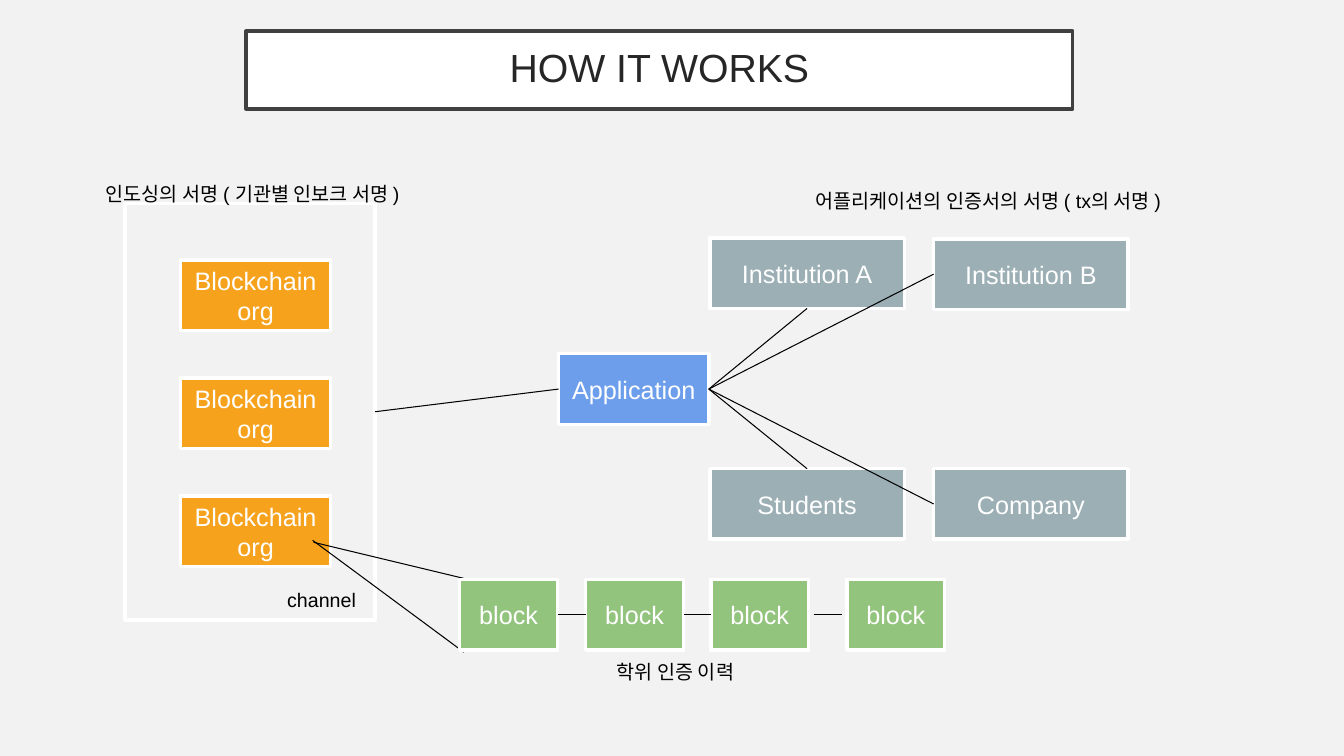
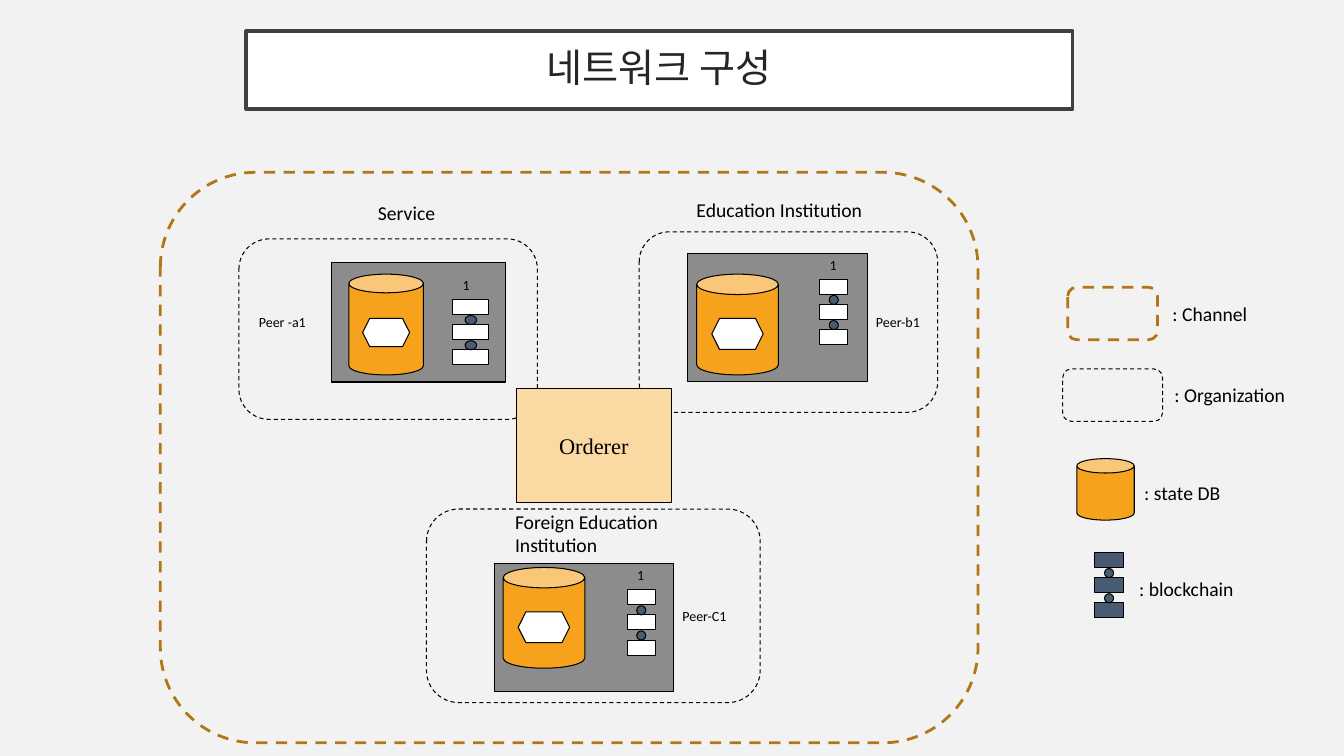
from pptx import Presentation
from pptx.dml.color import RGBColor
from pptx.enum.dml import MSO_LINE
from pptx.enum.shapes import MSO_CONNECTOR, MSO_SHAPE
from pptx.enum.text import MSO_ANCHOR, PP_ALIGN
from pptx.oxml.xmlchemy import OxmlElement
from pptx.util import Inches, Pt

RECT, ROUND = MSO_SHAPE.RECTANGLE, MSO_SHAPE.ROUNDED_RECTANGLE
CAN, HEX, OVAL = MSO_SHAPE.CAN, MSO_SHAPE.HEXAGON, MSO_SHAPE.OVAL
LEFT, CENTER = PP_ALIGN.LEFT, PP_ALIGN.CENTER
TOP, MIDDLE = MSO_ANCHOR.TOP, MSO_ANCHOR.MIDDLE
DASH = MSO_LINE.DASH
STRAIGHT = MSO_CONNECTOR.STRAIGHT
COLORS = {
    "page": "F2F2F2", "white": "FFFFFF", "black": "000000",
    "frame": "404040", "title": "262626", "party": "9BAFB5",
    "orange": "F6A21D", "app": "6D9EEB", "block": "93C47D",
    "navy": "495B73", "peer": "8C8C8C", "sand": "FBD9A3",
    "channel": "B37615",
}


def color(name):
    return RGBColor.from_string(COLORS[name])


def write(shape, words, size=18, font="Arial", ink="white", align=CENTER,
          anchor=MIDDLE, pad=(0.1, 0.05), gap=None):
    frame = shape.text_frame
    frame.word_wrap = True
    frame.vertical_anchor = anchor
    frame.margin_left = frame.margin_right = Inches(pad[0])
    frame.margin_top = frame.margin_bottom = Inches(pad[1])
    frame.text = words
    for par in frame.paragraphs:
        par.alignment = align
        par.line_spacing = gap
        for run in par.runs:
            run.font.size = Pt(size)
            run.font.name = font
            run.font.color.rgb = color(ink)


class Deck:
    """Holds the deck style and the slide being drawn."""

    def __init__(self):
        self.file = Presentation()
        self.file.slide_width = Inches(13.33)
        self.file.slide_height = Inches(7.5)

    def page(self, title):
        self.slide = self.file.slides.add_slide(self.file.slide_layouts[6])
        back = self.slide.background.fill
        back.solid()
        back.fore_color.rgb = color("page")
        bar = self.shape(RECT, 2.44, 0.31, 8.2, 0.77, "white", "frame", 2.5)
        write(bar, title, size=28, ink="title", pad=(0.2, 0.2), gap=0.9)

    def shape(self, kind, x, y, w, h, fill=None, line="black", width=0.75,
              dash=None):
        item = self.slide.shapes.add_shape(
            kind, Inches(x), Inches(y), Inches(w), Inches(h))
        item.shadow.inherit = False
        if fill:
            item.fill.solid()
            item.fill.fore_color.rgb = color(fill)
        else:
            item.fill.background()
        item.line.color.rgb = color(line)
        item.line.width = Pt(width)
        if dash:
            item.line.dash_style = dash
        return item

    def box(self, words, x, y, w, fill):
        item = self.shape(RECT, x, y, w, 0.7, fill, "white", 2.5)
        write(item, words)
        return item

    def label(self, words, x, y, w, h=0.34, **style):
        look = dict(size=14, font="Calibri", ink="black", align=LEFT)
        item = self.slide.shapes.add_textbox(
            Inches(x), Inches(y), Inches(w), Inches(h))
        write(item, words, **{**look, **style})

    def note(self, words, x, y, w):
        self.label(words, x, y, w, 0.5, font="Arial", anchor=TOP,
                   pad=(0.1, 0.1))

    def line(self, x1=0, y1=0, x2=0, y2=0):
        item = self.slide.shapes.add_connector(
            STRAIGHT, Inches(x1), Inches(y1), Inches(x2), Inches(y2))
        item.line.color.rgb = color("black")
        item.line.width = Pt(0.75)
        item._element.spPr.append(OxmlElement("a:effectLst"))
        return item

    def join(self, start, side, end, port):
        item = self.line()
        item.begin_connect(start, side)
        item.end_connect(end, port)

    def zone(self, x, y, w, h, line="black", width=0.75):
        self.shape(ROUND, x, y, w, h, None, line, width, DASH)

    def chain(self, x, y, w, fill):
        dot = w * 0.32
        for row in range(3):
            self.shape(RECT, x, y + row * 0.25, w, 0.15, fill)
        for row in range(2):
            self.shape(OVAL, x + (w - dot) / 2, y + 0.16 + row * 0.25,
                       dot, 0.09, "navy")

    def peer(self, frame, can, links):
        self.shape(RECT, *frame, "peer")
        x, y, w = can
        self.shape(CAN, x, y, w, 1, "orange")
        wide = w * 0.63
        self.shape(HEX, x + (w - wide) / 2, y + 0.44, wide, wide * 0.6,
                   "white")
        x, y, w = links
        self.chain(x, y, w, "white")
        self.label("1", x, y - 0.28, w, 0.27, size=10)


def works(deck):
    deck.page("HOW IT WORKS")
    first = deck.box("Institution A", 7.04, 2.36, 1.93, "party")
    pupil = deck.box("Students", 7.04, 4.65, 1.93, "party")
    second = deck.box("Institution B", 9.26, 2.37, 1.93, "party")
    firm = deck.box("Company", 9.26, 4.65, 1.93, "party")
    app = deck.box("Application", 5.54, 3.51, 1.49, "app")
    for end, port in ((first, 2), (second, 1), (firm, 1), (pupil, 0)):
        deck.join(app, 3, end, port)

    for row in range(3):
        deck.box("Blockchain\norg", 1.79, 2.58 + row * 1.17, 1.49, "orange")
    group = deck.shape(RECT, 1.24, 2.02, 2.48, 4.13, None, "white", 2.5)
    deck.note("channel", 2.75, 5.73, 0.97)
    deck.join(group, 3, app, 1)
    deck.line(3.11, 5.38, 4.65, 5.75)
    deck.line(3.1, 5.36, 4.6, 6.47)

    blocks = [deck.box("block", x, 5.75, 0.97, "block")
              for x in (4.56, 5.81, 7.05, 8.4)]
    for start, end in zip(blocks[:2], blocks[1:3]):
        deck.join(start, 3, end, 1)
    deck.line(8.07, 6.1, 8.35, 6.1)

    deck.note("학위 인증 이력", 6.02, 6.45, 3.21)
    deck.note("어플리케이션의 인증서의 서명 ( tx의 서명 )", 7.99, 1.77, 4.07)
    deck.note("인도싱의 서명 ( 기관별 인보크 서명 )", 0.95, 1.71, 4.07)


def network(deck):
    deck.page("네트워크 구성")
    deck.zone(1.59, 1.71, 8.11, 5.66, "channel", 2)
    for area in ((2.37, 2.37, 2.96, 1.79), (6.34, 2.3, 2.96, 1.79),
                 (4.23, 5.05, 3.31, 1.92)):
        deck.zone(*area)
    deck.peer((3.29, 2.6, 1.72, 1.19), (3.46, 2.72, 0.74), (4.49, 2.97, 0.36))
    deck.peer((6.82, 2.52, 1.78, 1.27), (6.91, 2.72, 0.81), (8.13, 2.77, 0.28))
    deck.peer((4.9, 5.59, 1.78, 1.27), (4.99, 5.63, 0.81), (6.22, 5.85, 0.28))
    for words, x, y, w in (("Peer -a1", 2.47, 3.06, 0.86),
                           ("Peer-b1", 8.59, 3.06, 0.67),
                           ("Peer-C1", 6.67, 5.98, 0.67)):
        deck.label(words, x, y, w, 0.27, size=10)

    order = deck.shape(RECT, 5.12, 3.85, 1.54, 1.14, "sand")
    write(order, "Orderer", size=16, font="Times New Roman", ink="black")

    deck.zone(10.59, 2.85, 0.89, 0.52, "channel", 2)
    deck.zone(10.54, 3.66, 0.99, 0.52)
    deck.shape(CAN, 10.68, 4.55, 0.57, 0.61, "orange")
    deck.chain(10.86, 5.48, 0.28, "navy")
    for words, x, y, w in (("Service", 3.65, 1.94, 1.41),
                           ("Education Institution", 6.81, 1.91, 1.93),
                           ("Foreign Education Institution", 5.01, 5.12, 1.93),
                           (": Channel", 11.53, 2.94, 1.17),
                           (": Organization", 11.55, 3.75, 1.34),
                           (": state DB", 11.25, 4.72, 0.99),
                           (": blockchain", 11.2, 5.67, 1.17)):
        deck.label(words, x, y, w)


def main():
    deck = Deck()
    works(deck)
    network(deck)
    deck.file.save("out.pptx")


if __name__ == "__main__":
    main()
